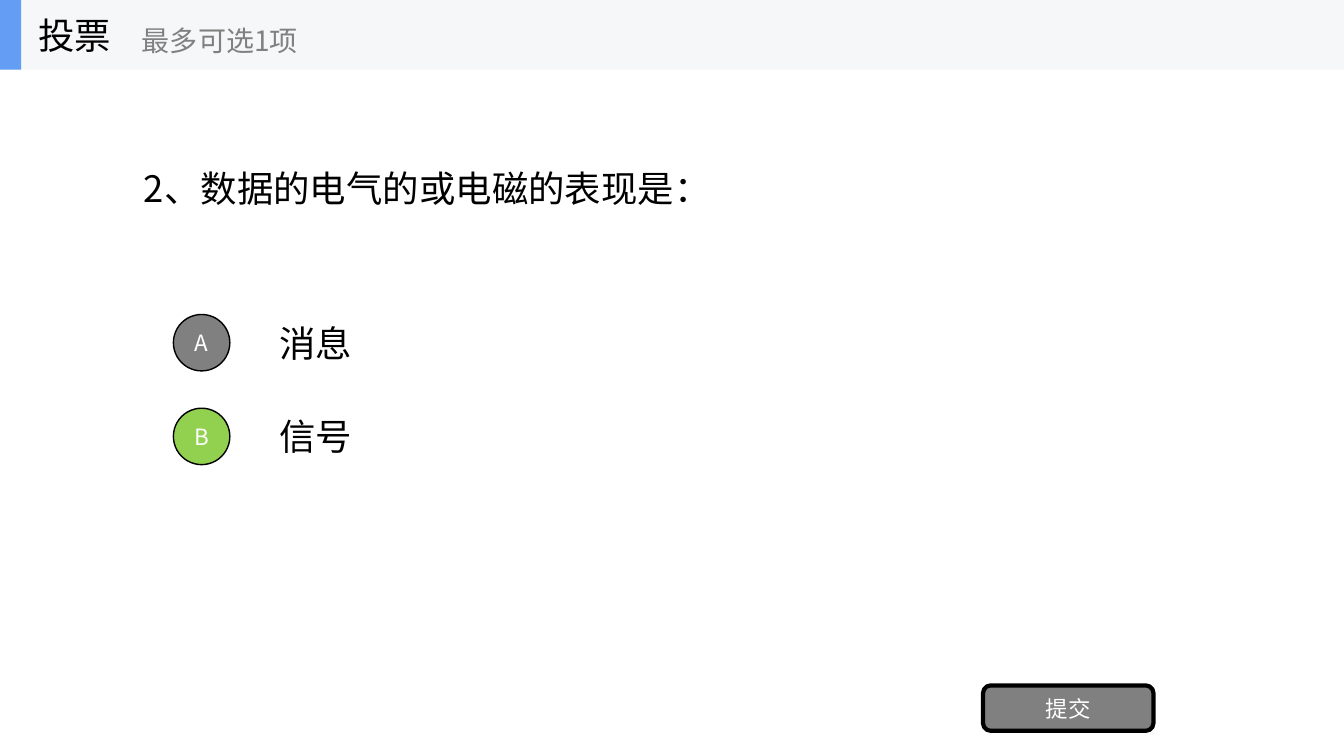
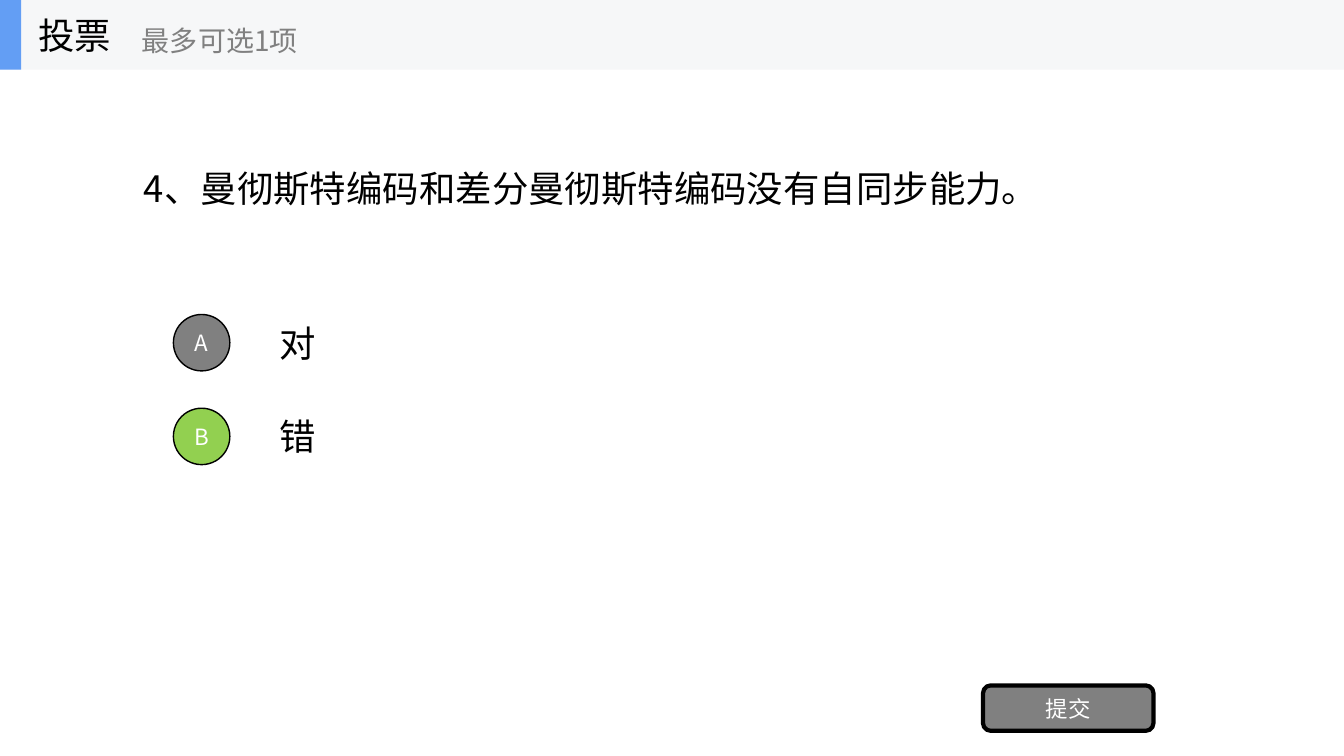
from lxml import etree
from pptx import Presentation
from pptx import util as u
from pptx.dml.color import RGBColor
from pptx.enum import shapes, text
from pptx.oxml.ns import qn

BLACK, WHITE, GREY = "000000", "FFFFFF", "808080"
GREEN, BLUE, PALE = "92D050", "639EF4", "F6F7F8"
KIND = shapes.MSO_SHAPE
LEFT, CENTER = text.PP_ALIGN.LEFT, text.PP_ALIGN.CENTER


def color(code):
    return RGBColor.from_string(code)


class Deck:
    font = "Noto Sans CJK SC"
    wide, high, band = 13.33, 7.5, 0.69

    def __init__(self):
        self.prs = Presentation()
        self.prs.slide_width = u.Inches(self.wide)
        self.prs.slide_height = u.Inches(self.high)
        self.slide = None

    def page(self):
        self.slide = self.prs.slides.add_slide(self.prs.slide_layouts[6])

    def letter(self, shape, words, size, ink, align=LEFT):
        frame = shape.text_frame
        frame.text = words
        frame.word_wrap = True
        frame.vertical_anchor = text.MSO_ANCHOR.MIDDLE
        para = frame.paragraphs[0]
        para.alignment = align
        for run in para.runs:
            run.font.size = u.Pt(size)
            run.font.color.rgb = color(ink)
            run.font.name = self.font
            # East Asian glyphs take their own typeface
            props = run._r.get_or_add_rPr()
            etree.SubElement(props, qn("a:ea")).set("typeface", self.font)

    def label(self, words, x, y, w, h, size=26, ink=BLACK):
        box = self.slide.shapes.add_textbox(
            u.Inches(x), u.Inches(y), u.Inches(w), u.Inches(h))
        self.letter(box, words, size, ink)

    def block(self, kind, x, y, w, h, fill, line=0, words=""):
        shape = self.slide.shapes.add_shape(
            kind, u.Inches(x), u.Inches(y), u.Inches(w), u.Inches(h))
        shape.shadow.inherit = False
        shape.fill.solid()
        shape.fill.fore_color.rgb = color(fill)
        if line:
            shape.line.color.rgb = color(BLACK)
            shape.line.width = u.Pt(line)
        else:
            shape.line.fill.background()
        if words:
            frame = shape.text_frame
            frame.margin_left = frame.margin_right = 0
            frame.margin_top = frame.margin_bottom = 0
            self.letter(shape, words, 16, WHITE, CENTER)

    def header(self, title, hint):
        self.block(KIND.RECTANGLE, 0, 0, self.wide, self.band, PALE)
        self.block(KIND.RECTANGLE, 0, 0, 0.21, self.band, BLUE)
        self.label(title, 0.28, 0, 2.08, self.band)
        self.label(hint, 1.31, 0.12, 2.5, 0.56, 20, GREY)

    def choice(self, row, mark, words, fill):
        top = 3.05 + row * 0.93
        self.label(words, 2.67, top, 9.33, 0.7)
        self.block(KIND.OVAL, 1.72, top + 0.07, 0.56, 0.56, fill, 1, mark)

    def poll(self, ask, picks):
        self.page()
        self.label(ask, 1.33, self.band, 10.67, 2.34)
        # Answer rows
        for row, (mark, words, fill) in enumerate(
                zip("AB", picks, (GREY, GREEN))):
            self.choice(row, mark, words, fill)
        # Submit button and title band
        self.block(KIND.ROUNDED_RECTANGLE, 9.75, 6.8, 1.69, 0.45,
                   GREY, 3, "提交")
        self.header("投票", "最多可选1项")


POLLS = [
    ("2、数据的电气的或电磁的表现是：", ("消息", "信号")),
    ("4、曼彻斯特编码和差分曼彻斯特编码没有自同步能力。", ("对", "错")),
]


def main():
    deck = Deck()
    for ask, picks in POLLS:
        deck.poll(ask, picks)
    deck.prs.save("out.pptx")


if __name__ == "__main__":
    main()
